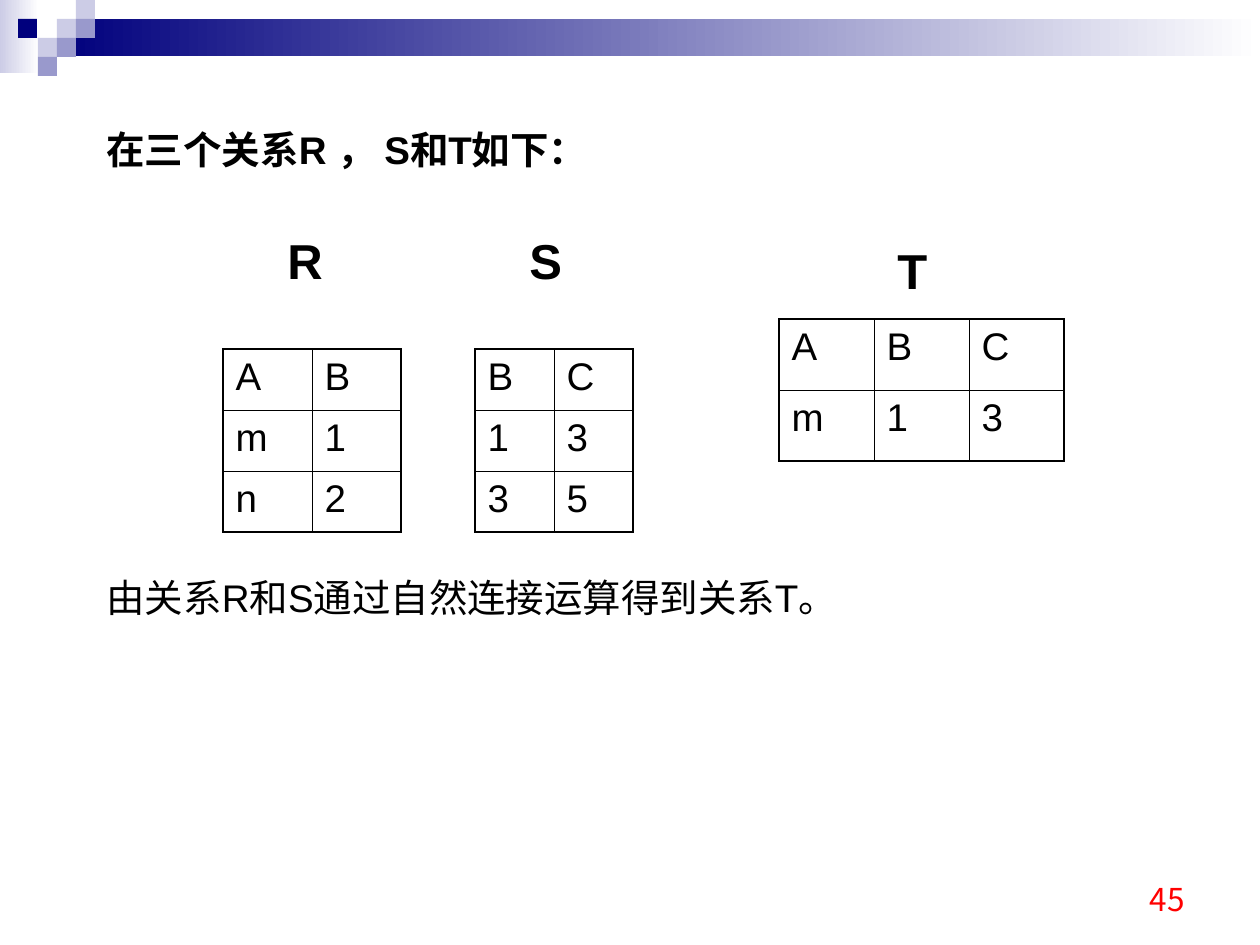
from dataclasses import dataclass

from lxml import etree
from pptx import Presentation
from pptx.dml.color import RGBColor
from pptx.enum.shapes import MSO_SHAPE
from pptx.enum.text import MSO_ANCHOR, MSO_AUTO_SIZE, PP_ALIGN
from pptx.oxml.ns import qn
from pptx.util import Pt

RECTANGLE = MSO_SHAPE.RECTANGLE
TOP, BOTTOM = MSO_ANCHOR.TOP, MSO_ANCHOR.BOTTOM
LEFT, RIGHT = PP_ALIGN.LEFT, PP_ALIGN.RIGHT
NO_AUTOFIT = MSO_AUTO_SIZE.NONE
PX = 914400 / 126


@dataclass(frozen=True)
class Theme:
    navy: str = "00007D"
    lilac: str = "9999CC"
    pale: str = "CCCCE6"
    white: str = "FFFFFF"
    ink: str = "000000"
    red: str = "FF0000"
    latin: str = "Arial"
    chinese: str = "Noto Sans CJK SC"
    body_size: int = 22
    label_size: int = 28
    number_size: int = 18
    outer_line: float = 1.08
    inner_line: float = 0.45


theme = Theme()


def px(*lengths):
    return [round(length * PX) for length in lengths]


def write_text(paragraph, text, size=theme.body_size, color=theme.ink,
               font=theme.latin, bold=False, align=LEFT):
    paragraph.alignment = align
    run = paragraph.add_run()
    run.text = text
    run.font.size = Pt(size)
    run.font.bold = bold
    run.font.name = font
    run.font.color.rgb = RGBColor.from_string(color)
    east_asian = etree.SubElement(run.font._element, qn("a:ea"))
    east_asian.set("typeface", theme.chinese)


prs = Presentation()
prs.slide_width, prs.slide_height = px(1260, 945)
slide = prs.slides.add_slide(prs.slide_layouts[1])
title = slide.shapes.title
title.element.getparent().remove(title.element)

ornaments = [
    (0, 0, 39, 73, (theme.pale, theme.white)),
    (57, 19, 1203, 37, (theme.navy, theme.white)),
    (57, 19, 19, 19, (theme.pale,)),
    (76, 0, 19, 19, (theme.pale,)),
    (76, 19, 19, 19, (theme.lilac,)),
    (38, 38, 19, 19, (theme.pale,)),
    (18, 19, 19, 19, (theme.navy,)),
    (57, 38, 19, 19, (theme.lilac,)),
    (38, 57, 19, 19, (theme.lilac,)),
]
for left, top, width, height, colors in ornaments:
    ornament = slide.shapes.add_shape(RECTANGLE, *px(left, top, width, height))
    ornament.shadow.inherit = False
    ornament.line.fill.background()
    if len(colors) == 2:
        ornament.fill.gradient()
        ornament.fill.gradient_angle = 0
        for stop, color in zip(ornament.fill.gradient_stops, colors):
            stop.color.rgb = RGBColor.from_string(color)
    else:
        ornament.fill.solid()
        ornament.fill.fore_color.rgb = RGBColor.from_string(colors[0])

body = slide.placeholders[1]
body.left, body.top, body.width, body.height = px(94, 125, 1085, 539)
statement = body.text_frame
statement.auto_size = NO_AUTOFIT
statement.vertical_anchor = TOP
sentences = [
    ("在三个关系R ， S和T如下：", True, 0),
    ("由关系R和S通过自然连接运算得到关系T。", False, 232),
]
for index, (sentence, bold, space_before) in enumerate(sentences):
    paragraph = statement.add_paragraph() if index else statement.paragraphs[0]
    paragraph.line_spacing = 0.9
    paragraph.space_before = Pt(space_before)
    properties = paragraph._p.get_or_add_pPr()
    properties.set("marL", "0")
    properties.set("indent", "0")
    etree.SubElement(properties, qn("a:buNone"))
    write_text(paragraph, sentence, bold=bold)

relations = [
    ("R", 275, 224, 223, 349, 89, 61, ["AB", "m1", "n2"]),
    ("S", 517, 224, 475, 349, 79, 61, ["BC", "13", "35"]),
    ("T", 885, 234, 779, 319, 95, 71, ["ABC", "m13"]),
]
for name, label_left, label_top, left, top, column_width, row_height, tuples in relations:
    label = slide.shapes.add_textbox(*px(label_left, label_top, 73, 72)).text_frame
    label.word_wrap = True
    label.vertical_anchor = BOTTOM
    write_text(label.paragraphs[0], name, size=theme.label_size, bold=True)

    rows, columns = len(tuples), len(tuples[0])
    relation = slide.shapes.add_table(
        rows, columns, *px(left, top, column_width * columns, row_height * rows)).table
    relation.first_row = False
    relation.horz_banding = False
    for column in relation.columns:
        column.width = px(column_width)[0]
    for row in relation.rows:
        row.height = px(row_height)[0]
    for r, values in enumerate(tuples):
        for c, value in enumerate(values):
            cell = relation.cell(r, c)
            cell.fill.background()
            write_text(cell.text_frame.paragraphs[0], value)
            edges = {"a:lnL": c == 0, "a:lnR": c == columns - 1,
                     "a:lnT": r == 0, "a:lnB": r == rows - 1}
            cell_properties = cell._tc.get_or_add_tcPr()
            for position, (tag, is_outer) in enumerate(edges.items()):
                weight = theme.outer_line if is_outer else theme.inner_line
                border = etree.Element(qn(tag), w=str(Pt(weight)))
                fill = etree.SubElement(border, qn("a:solidFill"))
                etree.SubElement(fill, qn("a:srgbClr"), val=theme.ink)
                cell_properties.insert(position, border)

page_number = slide.shapes.add_textbox(*px(903, 861, 294, 63)).text_frame
page_number.word_wrap = True
page_number.vertical_anchor = BOTTOM
write_text(page_number.paragraphs[0], "45", size=theme.number_size,
           color=theme.red, font=theme.chinese, align=RIGHT)

prs.save("out.pptx")
